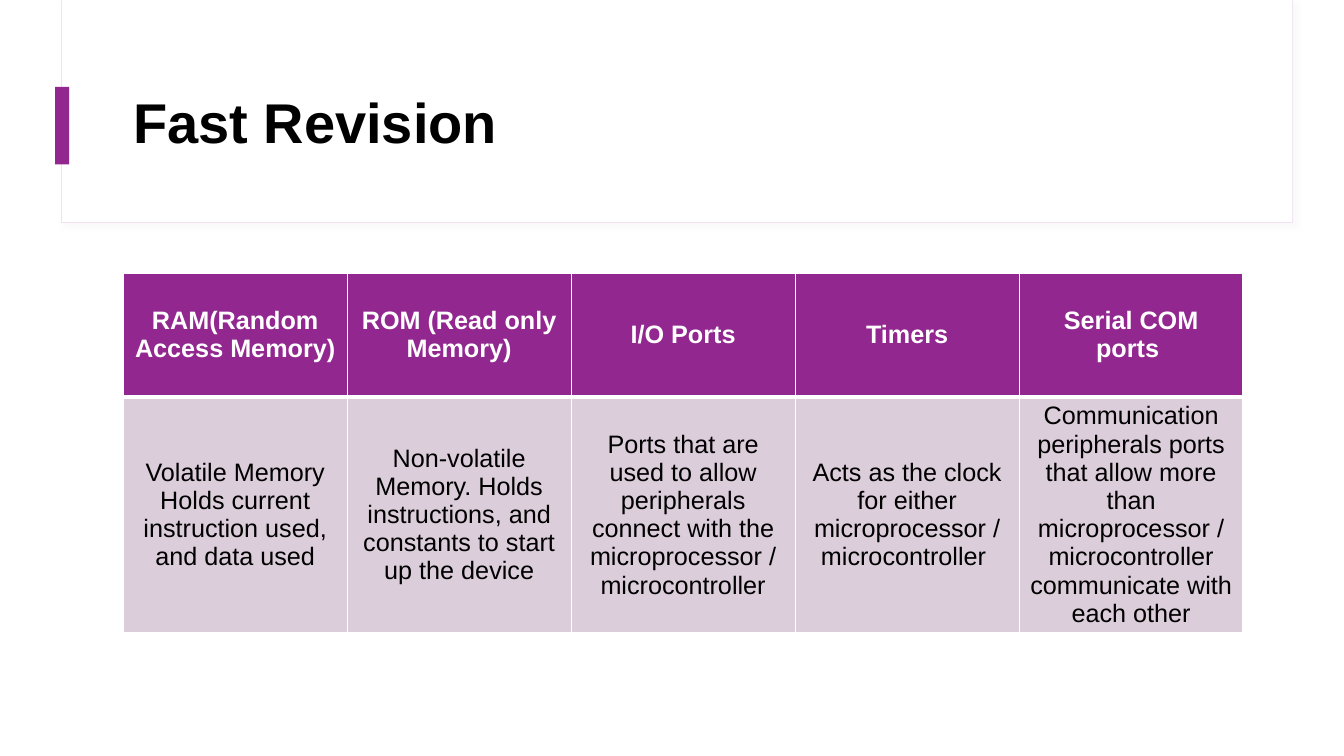
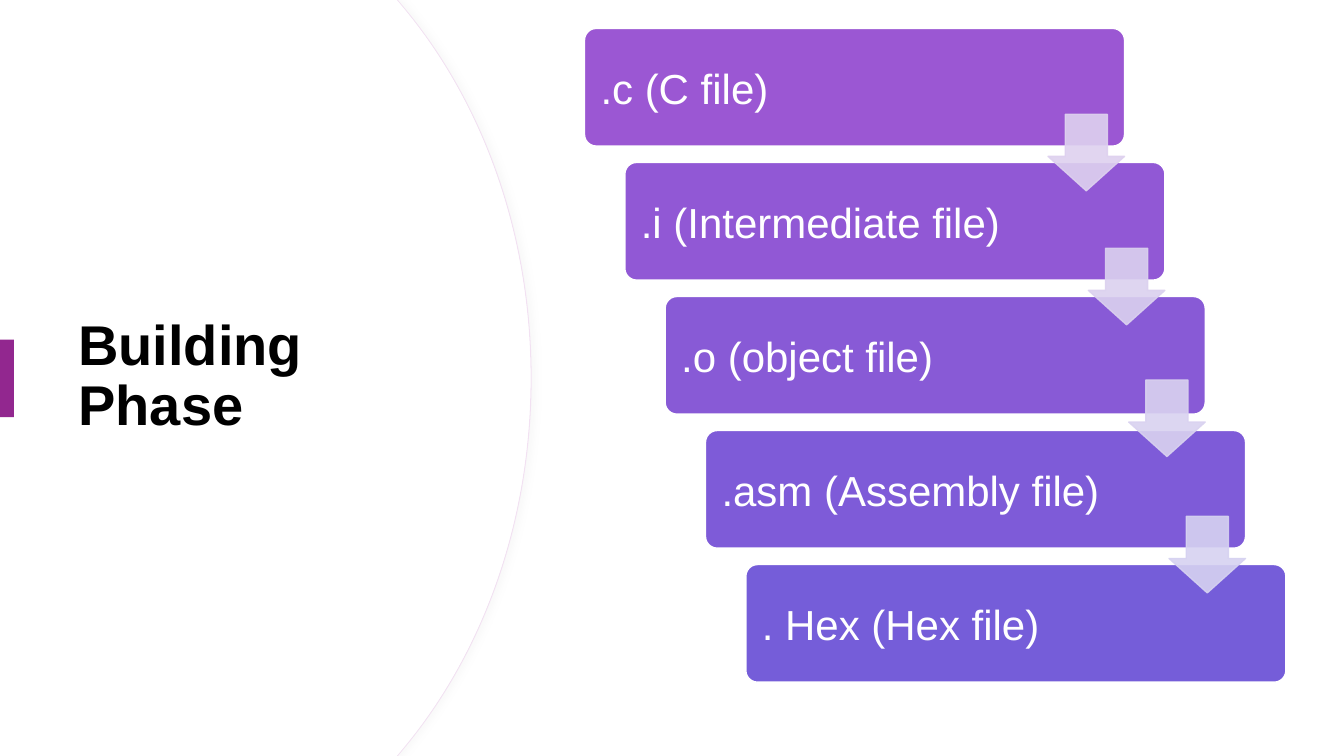
from dataclasses import dataclass

from lxml import etree
from pptx import Presentation
from pptx.dml.color import RGBColor
from pptx.enum import shapes, text
from pptx.oxml import ns
from pptx.util import Pt


@dataclass(frozen=True)
class Theme:
    font: str = "Arial"
    ink: str = "000000"
    paper: str = "FFFFFF"
    accent: str = "92278F"
    panel_line: str = "F2E1F2"
    shadow: str = "D9D9D9"
    shadow_opacity: int = 15
    table_body: str = "DCCDDB"
    steps: tuple = ("9B57D3", "9158D5", "885AD6", "7E5BD8", "755DD9")
    arrows: tuple = ("DED1EF", "DBD1EF", "D9D2F0", "D6D2F1")
    title_size: float = 40
    step_size: float = 30
    table_size: float = 18


@dataclass(frozen=True)
class Box:
    """A rectangle in points."""
    left: float
    top: float
    width: float
    height: float

    def lengths(self):
        return Pt(self.left), Pt(self.top), Pt(self.width), Pt(self.height)


THEME = Theme()
SLIDE = Box(0, 0, 960, 540)
BAR_WIDTH, BAR_HEIGHT = 10, 55.4

REVISION_COLUMNS = [
    ("RAM(Random Access Memory)",
     ["Volatile Memory", "Holds current instruction used, and data used"]),
    ("ROM (Read only Memory)",
     ["Non-volatile Memory. Holds instructions, and constants to start up the device"]),
    ("I/O Ports",
     ["Ports that are used to allow peripherals connect with the microprocessor / microcontroller"]),
    ("Timers",
     ["Acts as the clock for either microprocessor / microcontroller "]),
    ("Serial COM ports ",
     ["Communication peripherals ports that allow more than microprocessor / "
      "microcontroller communicate with each other"]),
]
BUILD_FILES = [".c (C file)", ".i (Intermediate file)", ".o (object file)",
               ".asm (Assembly file)", ". Hex (Hex file)"]
ARROW_DROPS = (0.73, 0.73, 0.71, 0.73)  # share of the step height


def rgb(value):
    return RGBColor.from_string(value)


def paint(shape, fill, line=None, line_width=1):
    shape.shadow.inherit = False
    shape.fill.solid()
    shape.fill.fore_color.rgb = rgb(fill)
    if line is None:
        shape.line.fill.background()
    else:
        shape.line.color.rgb = rgb(line)
        shape.line.width = Pt(line_width)


def add_box(slide, kind, box, fill, line=None):
    shape = slide.shapes.add_shape(kind, *box.lengths())
    paint(shape, fill, line)
    return shape


def cast_shadow(shape, degrees):
    effects = shape.element.spPr.find(ns.qn("a:effectLst"))
    shadow = etree.SubElement(
        effects, ns.qn("a:outerShdw"), blurRad=str(Pt(4)), dist=str(Pt(3)),
        dir=str(degrees * 60000), algn="tl", rotWithShape="0")
    color = etree.SubElement(shadow, ns.qn("a:srgbClr"), val=THEME.shadow)
    etree.SubElement(color, ns.qn("a:alpha"), val=str(THEME.shadow_opacity * 1000))


def make_translucent(shape, percent):
    """Set the opacity of both the fill and the line."""
    for color in shape.element.spPr.iter(ns.qn("a:srgbClr")):
        etree.SubElement(color, ns.qn("a:alpha"), val=str(percent * 1000))


def write(paragraph, content, size, color, bold=False, align=text.PP_ALIGN.LEFT):
    paragraph.alignment = align
    run = paragraph.add_run()
    run.text = content
    run.font.name = THEME.font
    run.font.size = Pt(size)
    run.font.bold = bold
    run.font.color.rgb = rgb(color)


def add_title(slide, content, box):
    title = slide.shapes.title
    title.left, title.top, title.width, title.height = box.lengths()
    frame = title.text_frame
    frame.auto_size = text.MSO_AUTO_SIZE.NONE
    frame.word_wrap = True
    frame.vertical_anchor = text.MSO_ANCHOR.MIDDLE
    paragraph = frame.paragraphs[0]
    paragraph.line_spacing = 0.9
    write(paragraph, content, THEME.title_size, THEME.ink, bold=True)
    title.element.getparent().append(title.element)  # bring to the front


def add_accent_bar(slide, left, top):
    box = Box(left, top, BAR_WIDTH, BAR_HEIGHT)
    add_box(slide, shapes.MSO_SHAPE.RECTANGLE, box, THEME.accent)


def add_panel(slide, outline_box, cover_box, draw, shadow_degrees):
    """Draw a shadowed outline and a plain cover that thins its line."""
    outline, cover = draw(slide, outline_box), draw(slide, cover_box)
    paint(outline, THEME.paper, THEME.panel_line, 0.75)
    cast_shadow(outline, shadow_degrees)
    paint(cover, THEME.paper)
    return outline, cover


def draw_rectangle(slide, box):
    return slide.shapes.add_shape(shapes.MSO_SHAPE.RECTANGLE, *box.lengths())


def draw_bulge(slide, box):
    """A panel whose right side is a symmetric arc of two cubic curves."""
    def locate(x, y):
        return Pt(box.left + x * box.width), Pt(box.top + y * box.height)

    corners = [(0, 0), (0.748, 0), (0.761, 0.011), (1, 0.5), (0.761, 0.989), (0.748, 1), (0, 1)]
    builder = slide.shapes.build_freeform(*locate(*corners[0]))
    builder.add_line_segments([locate(*corner) for corner in corners[1:]], close=True)
    shape = builder.convert_to_shape()
    curves = [[(0.909, 0.136), (1, 0.309), (1, 0.5)],
              [(1, 0.691), (0.909, 0.864), (0.761, 0.989)]]
    lines = list(shape.element.spPr.iter(ns.qn("a:lnTo")))[2:4]
    for line, handles in zip(lines, curves):
        curve = etree.Element(ns.qn("a:cubicBezTo"))
        for handle in handles:
            x, y = locate(*handle)
            etree.SubElement(curve, ns.qn("a:pt"), x=str(x - shape.left), y=str(y - shape.top))
        line.getparent().replace(line, curve)
    return shape


def set_borders(cell, widths):
    """Draw white borders; widths maps a side (L, R, T, B) to points."""
    properties = cell._tc.get_or_add_tcPr()
    for side, width in widths.items():
        line = etree.SubElement(properties, ns.qn(f"a:ln{side}"), w=str(Pt(width)))
        fill = etree.SubElement(line, ns.qn("a:solidFill"))
        etree.SubElement(fill, ns.qn("a:srgbClr"), val=THEME.paper)


def fill_cell(cell, lines, fill, color, bold, borders):
    set_borders(cell, borders)
    cell.fill.solid()
    cell.fill.fore_color.rgb = rgb(fill)
    cell.vertical_anchor = text.MSO_ANCHOR.MIDDLE
    frame = cell.text_frame
    for index, line in enumerate(lines):
        paragraph = frame.add_paragraph() if index else frame.paragraphs[0]
        write(paragraph, line, THEME.table_size, color, bold, text.PP_ALIGN.CENTER)


def add_revision_table(slide, box, row_height):
    """The body row grows from row_height to hold its text."""
    frame = slide.shapes.add_table(2, len(REVISION_COLUMNS), *box.lengths())
    table = frame.table
    table.first_row = table.horz_banding = False
    for row in table.rows:
        row.height = Pt(row_height)
    for index, (heading, lines) in enumerate(REVISION_COLUMNS):
        table.columns[index].width = Pt(box.width / len(REVISION_COLUMNS))
        fill_cell(table.cell(0, index), [heading], THEME.accent, THEME.paper, True,
                  {"L": 1, "R": 1, "T": 1, "B": 3})
        fill_cell(table.cell(1, index), lines, THEME.table_body, THEME.ink, False,
                  {"L": 1, "R": 1, "T": 3, "B": 1})
    frame.height = Pt(box.height)


def add_staircase(slide, box):
    """Step boxes descend to the right, with an arrow across each gap."""
    width, height = box.width * 0.77, box.height * 0.18
    gaps = len(BUILD_FILES) - 1
    shift, drop = (box.width - width) / gaps, (box.height - height) / gaps
    for index, (label, color) in enumerate(zip(BUILD_FILES, THEME.steps)):
        step_box = Box(box.left + index * shift, box.top + index * drop, width, height)
        step = add_box(slide, shapes.MSO_SHAPE.ROUNDED_RECTANGLE, step_box, color, THEME.paper)
        step.adjustments[0] = 0.1
        frame = step.text_frame
        frame.word_wrap = True
        frame.margin_left = frame.margin_right = Pt(9)
        frame.vertical_anchor = text.MSO_ANCHOR.MIDDLE
        write(frame.paragraphs[0], label, THEME.step_size, THEME.paper)

    side = height * 0.65
    for index, (color, share) in enumerate(zip(THEME.arrows, ARROW_DROPS)):
        arrow_box = Box(box.left + index * shift + width - side,
                        box.top + index * drop + height * share, side, side)
        arrow = add_box(slide, shapes.MSO_SHAPE.DOWN_ARROW, arrow_box, color, color)
        arrow.adjustments[0], arrow.adjustments[1] = 0.55, 0.45
        make_translucent(arrow, 90)


def add_slide(presentation):
    return presentation.slides.add_slide(presentation.slide_layouts[5])


def move_to_layout(slide, parts):
    """Place parts behind everything on the slide's layout."""
    tree = slide.slide_layout.shapes.element
    for index, part in enumerate(parts):
        part.element.nvSpPr.cNvPr.set("id", str(100 + index))
        tree.insert(2 + index, part.element)


def build_revision_slide(presentation):
    slide = add_slide(presentation)
    header = add_panel(slide, Box(44, 0, 879, 159), Box(44.6, 0, 878.4, 158.4), draw_rectangle, 45)
    move_to_layout(slide, header)
    add_accent_bar(slide, 39.4, 62)
    add_title(slide, "Fast Revision", Box(88, 43, 800, 93))
    add_revision_table(slide, Box(88, 195.1, 800, 268.6), 88.4)


def build_phase_slide(presentation):
    slide = add_slide(presentation)
    add_box(slide, shapes.MSO_SHAPE.RECTANGLE, SLIDE, THEME.paper)
    add_panel(slide, Box(0, 0, 379.4, SLIDE.height), Box(0, 0, 378.8, SLIDE.height), draw_bulge, 0)
    add_title(slide, "Building Phase", Box(48.8, 91.4, 284, 356.4))
    add_accent_bar(slide, 0, 242.6)
    add_staircase(slide, Box(417.5, 20.3, 501, 467))


def main():
    presentation = Presentation()
    presentation.slide_width = Pt(SLIDE.width)
    presentation.slide_height = Pt(SLIDE.height)
    build_revision_slide(presentation)
    build_phase_slide(presentation)
    presentation.save("out.pptx")


if __name__ == "__main__":
    main()
